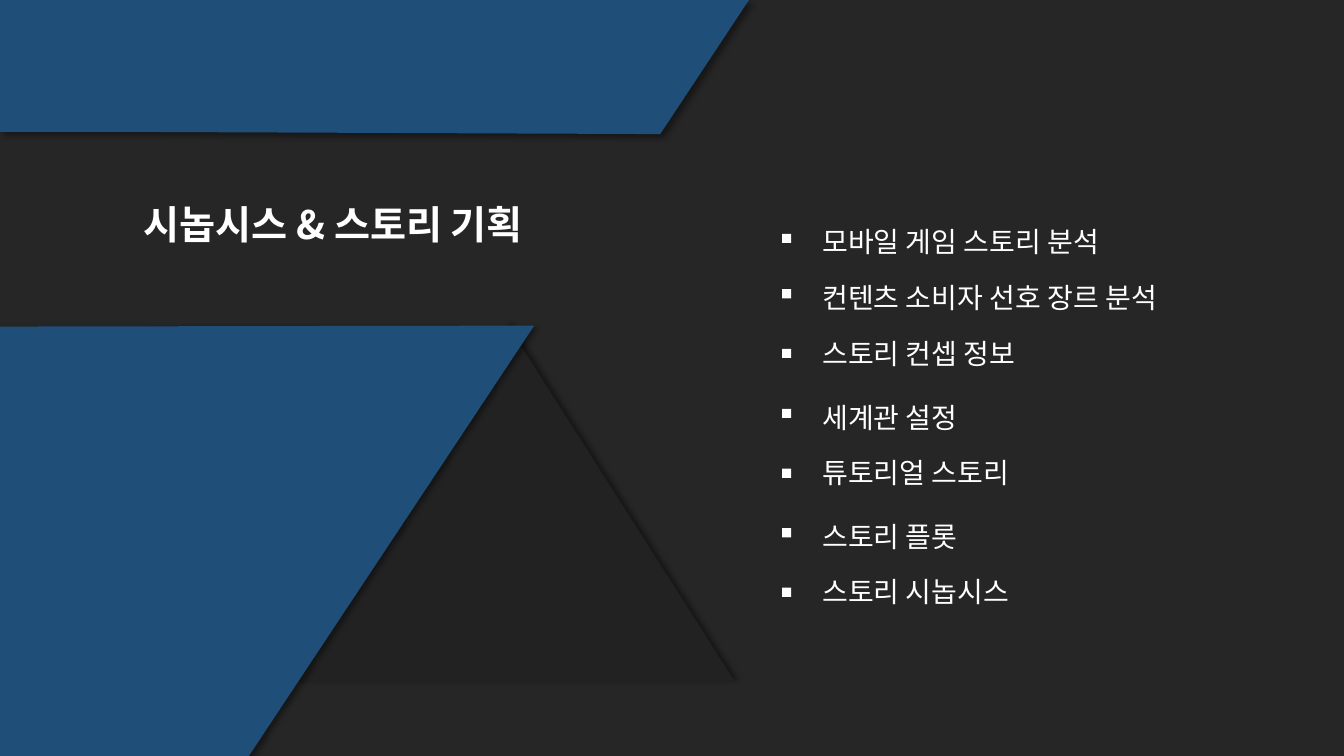
"""Build the synopsis and story planning section slide."""
import pptx
import pptx.dml.color
import pptx.enum.shapes
import pptx.enum.text
import pptx.oxml
import pptx.oxml.ns
import pptx.util
from lxml import etree

Pt = pptx.util.Pt
BACKGROUND = pptx.dml.color.RGBColor(0x26, 0x26, 0x26)
DARK = pptx.dml.color.RGBColor(0x22, 0x22, 0x22)
BLUE = pptx.dml.color.RGBColor(0x1F, 0x4E, 0x79)
WHITE = pptx.dml.color.RGBColor(0xFF, 0xFF, 0xFF)
FONT = "Noto Sans CJK KR"

presentation = pptx.Presentation()
presentation.slide_width = Pt(960)
presentation.slide_height = Pt(540)
slide = presentation.slides.add_slide(presentation.slide_layouts[6])
slide.background.fill.solid()
slide.background.fill.fore_color.rgb = BACKGROUND


def add_text(text, left, top, width, height, size, bold=False,
             align=pptx.enum.text.PP_ALIGN.LEFT):
    box = slide.shapes.add_textbox(Pt(left), Pt(top), Pt(width), Pt(height))
    box.text_frame.word_wrap = False
    box.text_frame.auto_size = pptx.enum.text.MSO_AUTO_SIZE.SHAPE_TO_FIT_TEXT
    paragraph = box.text_frame.paragraphs[0]
    paragraph.alignment = align
    run = paragraph.add_run()
    run.text = text
    run.font.size = Pt(size)
    run.font.bold = bold
    run.font.color.rgb = WHITE
    run.font.name = FONT
    east_asian = etree.SubElement(run.font._element, pptx.oxml.ns.qn("a:ea"))
    east_asian.set("typeface", FONT)


def style_shape(shape, color, shadow_angle=None):
    shape.fill.solid()
    shape.fill.fore_color.rgb = color
    shape.line.fill.background()
    shape.shadow.inherit = False
    if shadow_angle is not None:
        effects = shape._element.spPr.find(pptx.oxml.ns.qn("a:effectLst"))
        effects.append(pptx.oxml.parse_xml(
            f'<a:outerShdw {pptx.oxml.ns.nsdecls("a")} blurRad="{Pt(4)}" '
            f'dist="{Pt(3)}" dir="{shadow_angle * 60000}" algn="tl" rotWithShape="0">'
            '<a:srgbClr val="000000"><a:alpha val="40000"/></a:srgbClr></a:outerShdw>'))


triangle = slide.shapes.add_shape(
    pptx.enum.shapes.MSO_SHAPE.ISOSCELES_TRIANGLE, Pt(200.9), Pt(232.6), Pt(324), Pt(254.2))
style_shape(triangle, DARK, 315)

top_band = [(0, 0), (535, 0), (471.6, 95.8), (111.6, 94.3), (0, 94.3)]
bottom_band = [(0, 233.3), (381.6, 232.6), (177.8, 540), (0, 540)]
for outline in (top_band, bottom_band):
    corners = [(Pt(x), Pt(y)) for x, y in outline]
    builder = slide.shapes.build_freeform(*corners[0])
    builder.add_line_segments(corners[1:], close=True)
    style_shape(builder.convert_to_shape(), BLUE, 45)

add_text("시놉시스 & 스토리 기획", 76.3, 139.7, 323.3, 41, 28, bold=True,
         align=pptx.enum.text.PP_ALIGN.CENTER)

topics = [
    ("모바일 게임 스토리 분석", 157, 237.6, 167),
    ("컨텐츠 소비자 선호 장르 분석", 196.6, 285.1, 206.6),
    ("스토리 컨셉 정보", 236.9, 169.9, 249.1),
    ("세계관 설정", 282.2, 129.6, 292),
    ("튜토리얼 스토리", 321.8, 162.7, 334.8),
    ("스토리 플롯", 367.2, 122.4, 377.3),
    ("스토리 시놉시스", 406.8, 162.7, 419.8),
]
for topic, text_top, text_width, bullet_top in topics:
    add_text(topic, 580.3, text_top, text_width, 31.5, 20)
    bullet = slide.shapes.add_shape(
        pptx.enum.shapes.MSO_SHAPE.RECTANGLE, Pt(558.7), Pt(bullet_top), Pt(6.5), Pt(6.5))
    style_shape(bullet, WHITE)

presentation.save("out.pptx")
